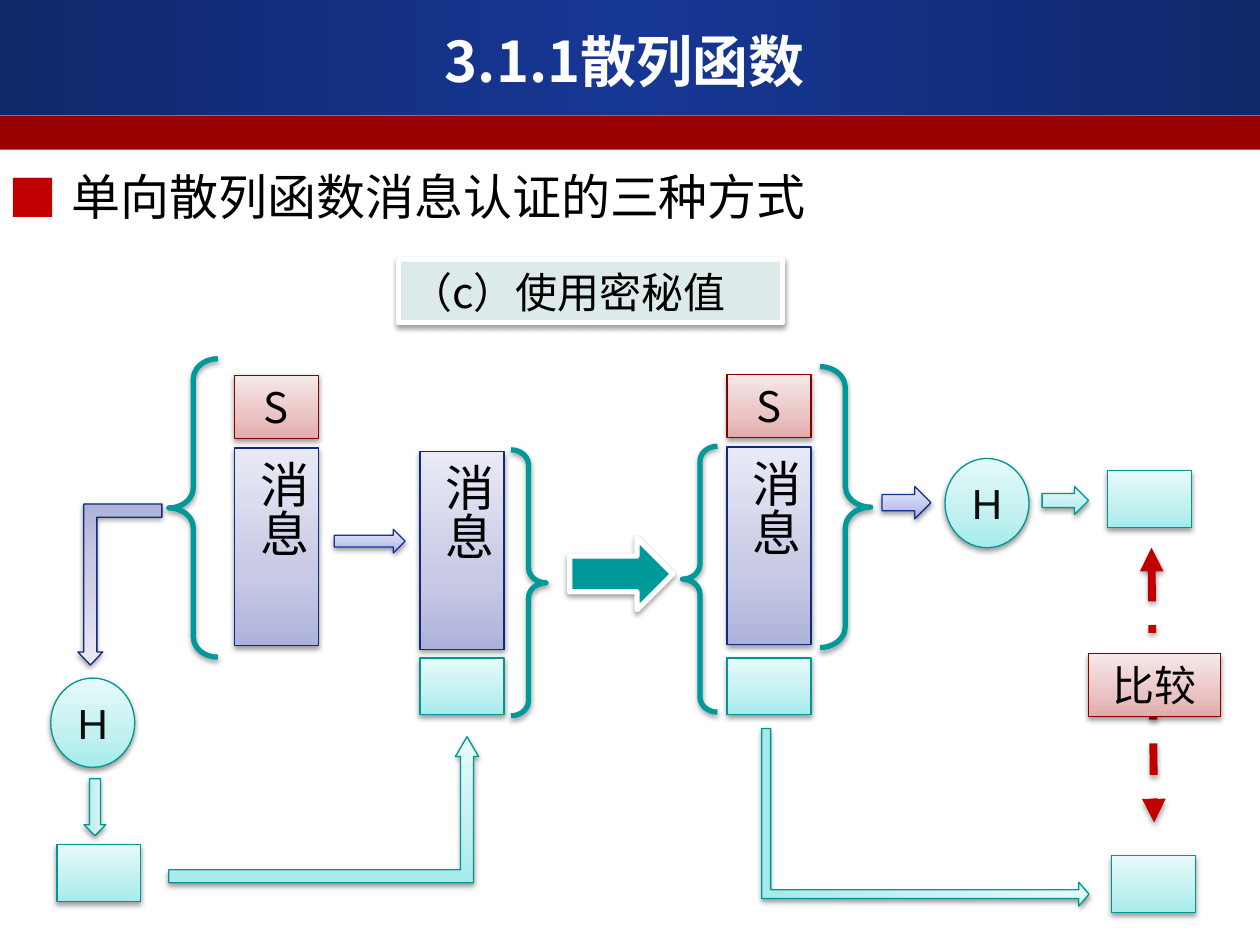
from copy import deepcopy

from lxml.etree import SubElement
from pptx import Presentation
from pptx.dml.color import RGBColor
from pptx.enum.dml import MSO_LINE
from pptx.enum.shapes import MSO_CONNECTOR, MSO_SHAPE
from pptx.enum.text import MSO_ANCHOR, PP_ALIGN
from pptx.oxml.ns import qn
from pptx.util import Pt

WHITE = RGBColor(0xFF, 0xFF, 0xFF)
BLACK = RGBColor(0, 0, 0)
INK = RGBColor(0x0D, 0x0D, 0x0D)
NAVY = RGBColor(0x10, 0x27, 0x6A)
BLUE = RGBColor(0x16, 0x37, 0x94)
DARK_RED = RGBColor(0x99, 0, 0)
RED = RGBColor(0xC0, 0, 0)
TEAL = RGBColor(0, 0x99, 0x99)
PALE_TEAL = RGBColor(0xDD, 0xEA, 0xEA)
BLUE_LINE = RGBColor(0x0E, 0x2B, 0x7E)
INDIGO_LINE = RGBColor(0x12, 0x34, 0x94)
TEAL_LINE = RGBColor(0, 0x96, 0x96)
RED_LINE = RGBColor(0x87, 0, 0)


def ramp(*colors):
    return list(zip((0, 0.35, 1), colors))


BLUE_RAMP = ramp(RGBColor(0xAE, 0xB2, 0xDB), RGBColor(0xC7, 0xC9, 0xE5), RGBColor(0xE9, 0xEA, 0xF6))
INDIGO_RAMP = ramp(RGBColor(0xA7, 0xAE, 0xE8), RGBColor(0xC2, 0xC6, 0xEE), RGBColor(0xE7, 0xE9, 0xF9))
TEAL_RAMP = ramp(RGBColor(0xA5, 0xEB, 0xEB), RGBColor(0xC1, 0xF0, 0xF0), RGBColor(0xE7, 0xFA, 0xFA))
RED_RAMP = ramp(RGBColor(0xE2, 0xAA, 0xAA), RGBColor(0xEA, 0xC4, 0xC4), RGBColor(0xF7, 0xE8, 0xE8))

# Each look is (fill, line colour, line width)
BLUE_LOOK = (BLUE_RAMP, BLUE_LINE, 0.75)
INDIGO_LOOK = (INDIGO_RAMP, INDIGO_LINE, 0.75)
TEAL_LOOK = (TEAL_RAMP, TEAL_LINE, 0.75)
RED_LOOK = (RED_RAMP, RED_LINE, 0.75)
BRACE_LOOK = (None, TEAL, 3)
CJK = "Noto Sans CJK SC"
BLOCK_W, DIGEST_H, MESSAGE_H = 48, 32.5, 113


def set_gradient(sp, stops, angle):
    fill = sp.fill
    fill.gradient()
    fill.gradient_angle = angle
    gs_list = sp._element.spPr.find(".//" + qn("a:gsLst"))
    gs_list.append(deepcopy(gs_list[-1]))
    for stop, (position, color) in zip(fill.gradient_stops, stops):
        stop.position = position
        stop.color.rgb = color


def add_shadow(sp, alpha=38, dist=1.6):
    effects = SubElement(sp._element.spPr, qn("a:effectLst"))
    shadow = SubElement(effects, qn("a:outerShdw"), blurRad=str(Pt(3.1)), dist=str(Pt(dist)),
                        dir="5400000", algn="ctr", rotWithShape="0")
    color = SubElement(shadow, qn("a:srgbClr"), val="000000")
    SubElement(color, qn("a:alpha"), val=str(alpha * 1000))


def add_block(s, kind, box, look, rotation=0, adjustments=()):
    sp = s.shapes.add_shape(kind, *map(Pt, box))
    fill, line, width = look
    if fill is None:
        sp.fill.background()
    elif isinstance(fill, list):
        set_gradient(sp, fill, 90)
    else:
        sp.fill.solid()
        sp.fill.fore_color.rgb = fill
    sp.line.color.rgb = line
    sp.line.width = Pt(width)
    sp.rotation = rotation
    for i, value in enumerate(adjustments):
        sp.adjustments[i] = value
    add_shadow(sp)
    return sp


def write(sp, text, size, color=BLACK, font=CJK, bold=False, align=PP_ALIGN.CENTER, anchor=MSO_ANCHOR.TOP):
    tf = sp.text_frame
    tf.word_wrap = True
    tf.vertical_anchor = anchor
    p = tf.paragraphs[0]
    p.alignment = align
    r = p.add_run()
    r.text = text
    for name, value in {"name": font, "size": Pt(size), "bold": bold}.items():
        setattr(r.font, name, value)
    r.font.color.rgb = color
    SubElement(r._r.get_or_add_rPr(), qn("a:ea"), typeface=font)
    return p


def add_digest(s, x, y):
    add_block(s, MSO_SHAPE.RECTANGLE, (x, y, BLOCK_W, DIGEST_H), TEAL_LOOK)


def add_hash(s, x, y):
    sp = add_block(s, MSO_SHAPE.OVAL, (x, y, BLOCK_W, 51), TEAL_LOOK)
    write(sp, "H", 24, INK, "Arial", anchor=MSO_ANCHOR.MIDDLE)


def add_message(s, x, y):
    sp = add_block(s, MSO_SHAPE.RECTANGLE, (x, y, BLOCK_W, MESSAGE_H), BLUE_LOOK)
    write(sp, "消息", 28, align=PP_ALIGN.LEFT)
    sp.text_frame._txBody.bodyPr.set("vert", "eaVert")


def add_secret_and_message(s, x, y):
    sp = add_block(s, MSO_SHAPE.RECTANGLE, (x, y, BLOCK_W, 36), RED_LOOK)
    write(sp, "S", 24)
    add_message(s, x, y + 41.5)


def add_brace(s, box, depth, rotation=0):
    add_block(s, MSO_SHAPE.LEFT_BRACE, box, BRACE_LOOK, rotation, (depth, 0.5))


def add_header(s, box):
    x, y, w, h = box
    band = s.shapes.add_shape(MSO_SHAPE.RECTANGLE, Pt(x), Pt(y), Pt(w), Pt(65.5))
    set_gradient(band, [(0, NAVY), (0.5, BLUE), (1, NAVY)], 0)
    stripe = s.shapes.add_shape(MSO_SHAPE.RECTANGLE, Pt(x), Pt(y + 66), Pt(w), Pt(h - 66))
    stripe.fill.solid()
    stripe.fill.fore_color.rgb = DARK_RED
    for sp in (band, stripe):
        sp.line.fill.background()
        sp.shadow.inherit = False
    title = s.shapes.add_textbox(Pt(x + 24), Pt(y + 12), Pt(w - 54), Pt(44.5))
    write(title, "3.1.1散列函数", 32, WHITE, bold=True, anchor=MSO_ANCHOR.MIDDLE)


def add_intro(s, box):
    sp = s.shapes.add_textbox(*map(Pt, box))
    p = write(sp, "单向散列函数消息认证的三种方式", 28, align=PP_ALIGN.LEFT)
    pPr = p._p.get_or_add_pPr()
    pPr.set("marL", str(Pt(36)))
    pPr.set("indent", str(Pt(-36)))
    color = SubElement(pPr, qn("a:buClr"))
    SubElement(color, qn("a:srgbClr"), val=str(RED))
    SubElement(pPr, qn("a:buFont"), typeface=CJK)
    SubElement(pPr, qn("a:buChar"), char="■")


def add_caption(s, box):
    sp = add_block(s, MSO_SHAPE.RECTANGLE, box, (PALE_TEAL, WHITE, 3))
    write(sp, "（c）使用密秘值", 24, align=PP_ALIGN.LEFT)


def add_sender(s, x, y):
    add_secret_and_message(s, x + 105.5, y + 9.5)
    add_brace(s, (x + 68, y, 28, 170.5), 0.41)
    add_block(s, MSO_SHAPE.BENT_UP_ARROW, (x + 16, y + 83, 48, 92), BLUE_LOOK, 180, (0.156, 0.148, 0.156))
    add_hash(s, x + 0.5, y + 182.5)
    add_block(s, MSO_SHAPE.RIGHT_ARROW, (x + 9.5, y + 250, 32.5, 12.5), TEAL_LOOK, 90)
    add_digest(s, x + 4, y + 277.5)
    add_block(s, MSO_SHAPE.BENT_UP_ARROW, (x + 68, y + 216, 177, 83.5), TEAL_LOOK, 0, (0.089, 0.079, 0.136))
    add_block(s, MSO_SHAPE.RIGHT_ARROW, (x + 162.5, y + 97.5, 40.5, 13.5), INDIGO_LOOK)
    add_message(s, x + 211.5, y + 53)
    add_digest(s, x + 211.5, y + 171)
    add_brace(s, (x + 263.5, y + 52, 20, 152), 0.43, 180)


def add_receiver(s, x, y):
    add_brace(s, (x, y + 50, 20, 152), 0.43)
    add_secret_and_message(s, x + 25.5, y + 9)
    add_digest(s, x + 25.5, y + 171)
    add_brace(s, (x + 78.5, y + 4.5, 29, 160.5), 0.41, 180)
    add_block(s, MSO_SHAPE.RIGHT_ARROW, (x + 114, y + 73, 28, 18.5), INDIGO_LOOK)
    add_hash(s, x + 150, y + 57)
    add_block(s, MSO_SHAPE.RIGHT_ARROW, (x + 205.5, y + 73, 26.5, 16), TEAL_LOOK)
    add_block(s, MSO_SHAPE.BENT_UP_ARROW, (x + 88, y + 168.5, 101.5, 187), TEAL_LOOK, 90, (0.05, 0.067, 0.058))


def add_comparison(s, x, y):
    add_digest(s, x + 11, y)
    add_digest(s, x + 13, y + 220)
    line = s.shapes.add_connector(MSO_CONNECTOR.STRAIGHT, Pt(x + 36), Pt(y + 44), Pt(x + 37.5), Pt(y + 201))
    line.line.color.rgb = RED
    line.line.width = Pt(4.5)
    line.line.dash_style = MSO_LINE.DASH_DOT
    ln = line.line._get_or_add_ln()
    for end in ("a:headEnd", "a:tailEnd"):
        SubElement(ln, qn(end), type="triangle")
    add_shadow(line, 35, 1.8)
    sp = add_block(s, MSO_SHAPE.RECTANGLE, (x, y + 104.5, 75.5, 36), RED_LOOK)
    write(sp, "比较", 24)


def main():
    prs = Presentation()
    prs.slide_width, prs.slide_height = Pt(720), Pt(540)
    s = prs.slides.add_slide(prs.slide_layouts[6])
    add_header(s, (0, 0, 720, 85.5))
    add_intro(s, (-2, 91.5, 471, 41))
    add_caption(s, (227.5, 148.5, 219.5, 36))
    add_sender(s, 28.5, 205)
    add_block(s, MSO_SHAPE.RIGHT_ARROW, (325.5, 307.5, 59, 41), (TEAL, WHITE, 3))
    add_receiver(s, 390, 205)
    add_comparison(s, 622, 269)
    prs.save("out.pptx")


if __name__ == "__main__":
    main()
